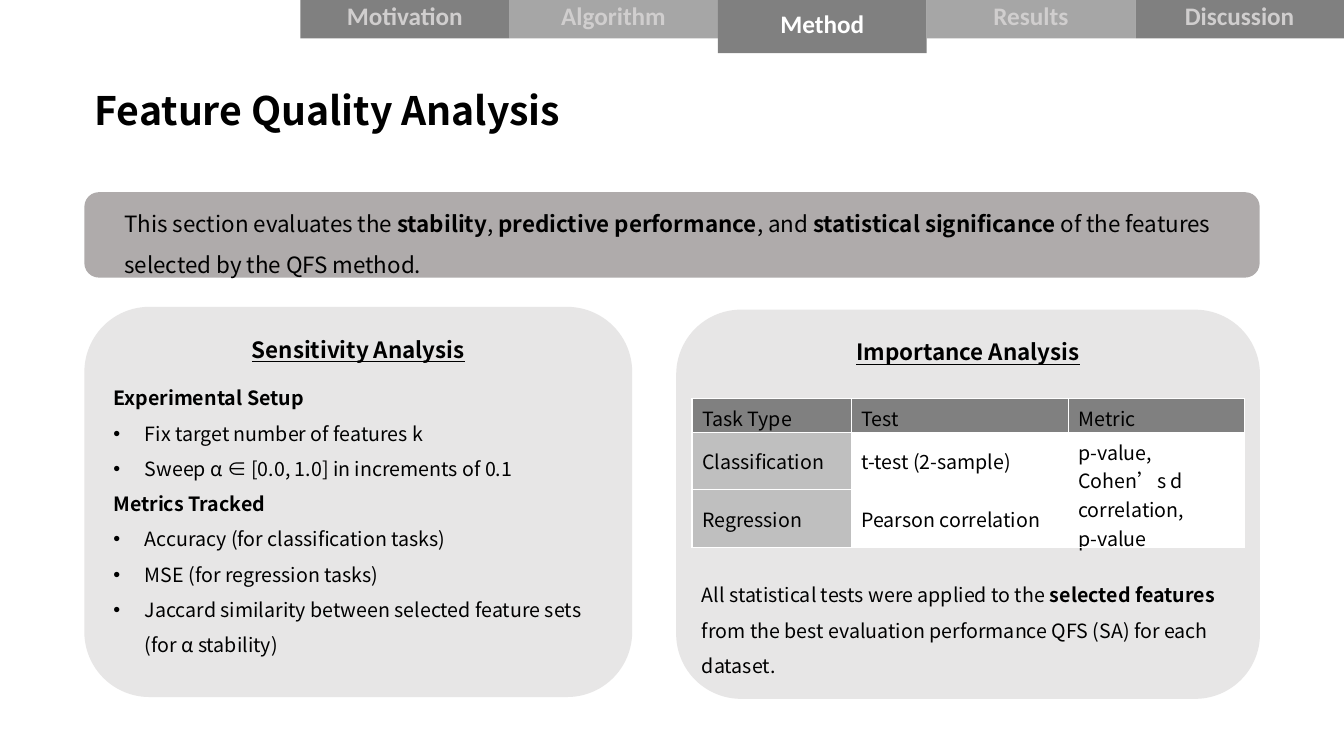
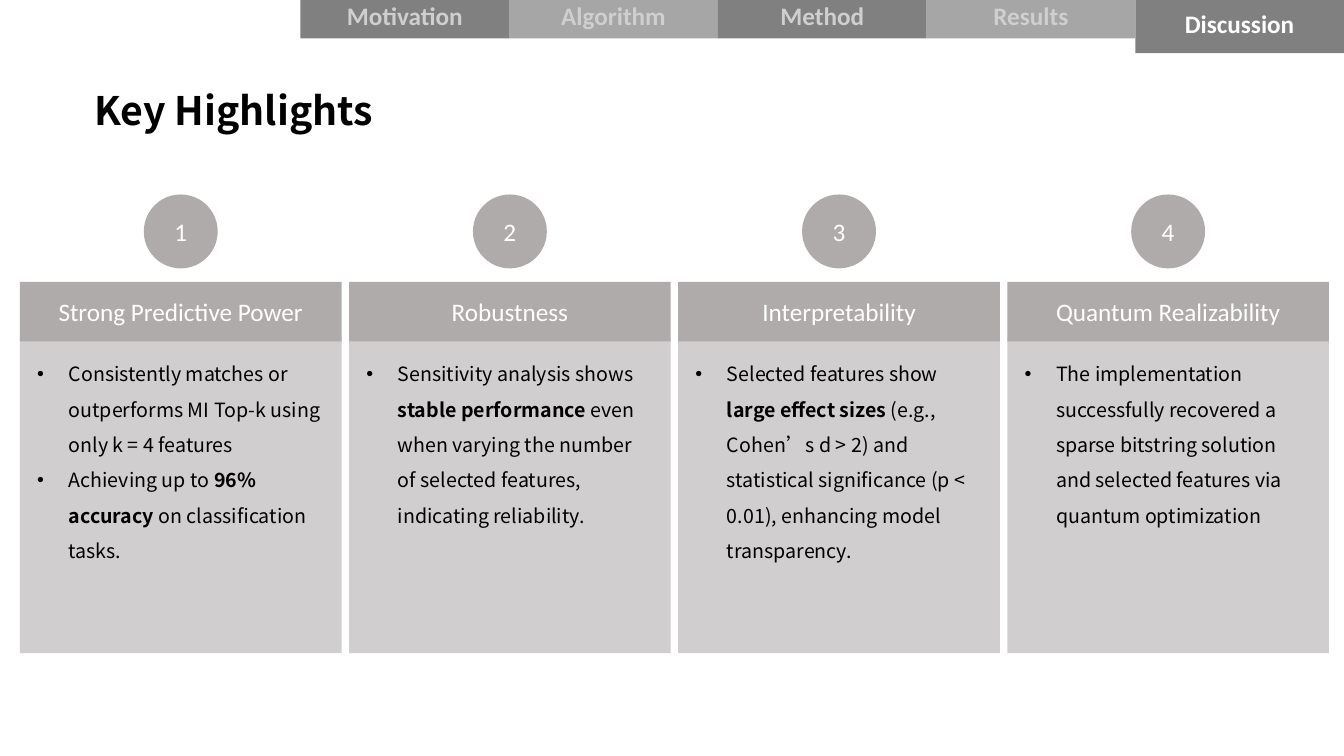
from lxml import etree
from pptx import Presentation
from pptx import util as u
from pptx.dml import color
from pptx.enum import shapes, text
from pptx.oxml import ns

SANS, TAB_FONT = "Noto Sans CJK TC", "Calibri"
BLACK, WHITE = "000000", "FFFFFF"
DARK, MEDIUM, LIGHT = "808080", "A6A6A6", "BFBFBF"
WARM, PALE, PANEL = "AFABAB", "D0CECE", "E7E6E6"
LEFT, CENTER = text.PP_ALIGN.LEFT, text.PP_ALIGN.CENTER
TABS = ("Motivation", "Algorithm", "Method", "Results", "Discussion")
TAB_LEFT, TAB_TOP, TAB_WIDTH = 214.6, -5, 149.08
HIGHLIGHTS = (
    ("Strong Predictive Power",
     ("• Consistently matches or outperforms MI Top-k using only k = 4 features",
      "• Achieving up to **96% accuracy **on classification tasks.")),
    ("Robustness",
     ("• Sensitivity analysis shows **stable performance** even when varying "
      "the number of selected features, indicating reliability.",)),
    ("Interpretability",
     ("• Selected features show **large effect sizes** (e.g., Cohen’s d > 2) and "
      "statistical significance (p < 0.01), enhancing model transparency.",)),
    ("Quantum Realizability",
     ("• The implementation successfully recovered a sparse bitstring solution "
      "and selected features via quantum optimization",)),
)
SETUP = (
    "**Experimental Setup**",
    "• Fix target number of features k",
    "• Sweep α ∈ [0.0, 1.0] in increments of 0.1",
    "**Metrics Tracked**",
    "• Accuracy (for classification tasks)",
    "• MSE (for regression tasks)",
    "• Jaccard similarity between selected feature sets (for α stability)",
)
TESTS = (
    (("Task Type",), ("Test",), ("Metric",)),
    (("Classification",), ("t-test (2-sample)",), ("p-value, Cohen’s d",)),
    (("Regression",), ("Pearson correlation",), ("correlation,", "p-value")),
)


def rgb(value):
    """Turn a hex string into a colour."""
    return color.RGBColor.from_string(value)


def set_fill(item, value):
    """Give a shape or cell a solid fill."""
    item.fill.solid()
    item.fill.fore_color.rgb = rgb(value)


def add_bullet(paragraph):
    """Give a paragraph a hanging round bullet."""
    properties = paragraph._p.get_or_add_pPr()
    properties.set("marL", str(u.Pt(22.5)))
    properties.set("indent", str(-u.Pt(22.5)))
    etree.SubElement(properties, ns.qn("a:buFont"), typeface="Arial")
    etree.SubElement(properties, ns.qn("a:buChar"), char="•")


def write(frame, lines, size=14, name=SANS, ink=BLACK, align=LEFT, spacing=1.5,
          bold=None, underline=None):
    """Write lines, where • starts a bullet and ** switches bold."""
    frame.word_wrap = True
    for index, line in enumerate(lines):
        paragraph = frame.add_paragraph() if index else frame.paragraphs[0]
        if line.startswith("• "):
            add_bullet(paragraph)
            line = line[2:]
        paragraph.alignment, paragraph.line_spacing = align, spacing
        font = paragraph.font
        font.size, font.name, font.color.rgb = u.Pt(size), name, rgb(ink)
        font.bold, font.underline = bold, underline
        etree.SubElement(font._element, ns.qn("a:ea"), typeface=name)
        for position, part in enumerate(line.split("**")):
            if part:
                run = paragraph.add_run()
                run.text = part
                if position % 2:
                    run.font.bold = True


def add_box(slide, kind, box, fill):
    """Add a flat preset shape without outline."""
    shape = slide.shapes.add_shape(kind, *map(u.Pt, box))
    shape.shadow.inherit = False
    shape.line.fill.background()
    set_fill(shape, fill)
    shape.text_frame.vertical_anchor = text.MSO_ANCHOR.MIDDLE
    return shape


def add_text(slide, box, lines, **style):
    """Add a wrapping text box."""
    write(slide.shapes.add_textbox(*map(u.Pt, box)).text_frame, lines, **style)


def add_tabs(slide, active):
    """Draw the section tabs with the active one taller."""
    for index, name in enumerate(TABS):
        current = name == active
        box = (TAB_LEFT + index * TAB_WIDTH, TAB_TOP, TAB_WIDTH, 43 if current else 32.4)
        fill = MEDIUM if index % 2 else DARK
        tab = add_box(slide, shapes.MSO_SHAPE.RECTANGLE, box, fill)
        write(tab.text_frame, [name], size=18, name=TAB_FONT,
              ink=WHITE if current else PALE, align=CENTER, spacing=1, bold=True)


def new_slide(presentation, title, active):
    """Start a slide with its title and section tabs."""
    slide = presentation.slides.add_slide(presentation.slide_layouts[5])
    shape = slide.shapes.title
    shape.left, shape.top, shape.width, shape.height = map(u.Pt, (60.5, 62, 828, 52.5))
    frame = shape.text_frame
    frame.auto_size = text.MSO_AUTO_SIZE.NONE
    frame.vertical_anchor = text.MSO_ANCHOR.TOP
    write(frame, [title], size=28, spacing=0.9, bold=True)
    add_tabs(slide, active)
    return slide


def add_panel(slide, box, heading):
    """Draw a rounded panel with an underlined heading."""
    left, top, width, _ = box
    panel = add_box(slide, shapes.MSO_SHAPE.ROUNDED_RECTANGLE, box, PANEL)
    add_text(slide, (left, top + 7.5, width, 33), [heading], size=16, align=CENTER,
             bold=True, underline=True)
    return panel


def add_intro(slide, box):
    """Draw the banner that states the aim."""
    left, top, width, height = box
    banner = add_box(slide, shapes.MSO_SHAPE.ROUNDED_RECTANGLE, box, WARM)
    banner.adjustments[0] = 0.17
    add_text(slide, (left + 21.5, top, width - 34.5, height), [
        "This section evaluates the **stability**, **predictive performance**, and "
        "**statistical significance** of the features selected by the QFS method."], size=16)


def add_sensitivity(slide, box):
    """Fill the sensitivity panel with setup and metrics."""
    frame = add_panel(slide, box, "Sensitivity Analysis").text_frame
    frame.margin_top = u.Pt(23)
    write(frame, SETUP)


def add_tests_table(slide, box):
    """Add the table of tests and metrics."""
    table = slide.shapes.add_table(len(TESTS), len(TESTS[0]), *map(u.Pt, box)).table
    for column, width in zip(table.columns, (113.8, 155, 125.6)):
        column.width = u.Pt(width)
    for row_index, row in enumerate(TESTS):
        table.rows[row_index].height = u.Pt(41.1 if row_index else 23.6)
        for column_index, lines in enumerate(row):
            cell = table.cell(row_index, column_index)
            cell.vertical_anchor = text.MSO_ANCHOR.MIDDLE
            set_fill(cell, DARK if not row_index else WHITE if column_index else LIGHT)
            write(cell.text_frame, lines, spacing=1, bold=False)


def add_importance(slide, box):
    """Fill the importance panel with its table and remark."""
    left, top, width, _ = box
    add_panel(slide, box, "Importance Analysis")
    add_tests_table(slide, (left + 11.3, top + 63.5, width - 22.6, 105.8))
    add_text(slide, (left + 11.3, top + 183.5, width - 22.6, 80.5), [
        "All statistical tests were applied to the **selected features** from the best "
        "evaluation performance QFS (SA) for each dataset."])


def add_highlight(slide, box, number, heading, lines):
    """Draw a numbered card with a heading and bullets."""
    left, top, width, height = box
    circle, band, body_top = 52.8, 42.5, top + 102.5
    add_box(slide, shapes.MSO_SHAPE.RECTANGLE,
            (left, body_top, width, top + height - body_top), PALE)
    for kind, part, label in (
            (shapes.MSO_SHAPE.OVAL,
             (left + (width - circle) / 2, top, circle, circle), str(number)),
            (shapes.MSO_SHAPE.RECTANGLE,
             (left, body_top + 2.5 - band, width, band), heading)):
        shape = add_box(slide, kind, part, WARM)
        write(shape.text_frame, [label], size=18, name=TAB_FONT, ink=WHITE,
              align=CENTER, spacing=1)
    add_text(slide, (left + 5.3, body_top + 5.5, width - 10.5, 157), lines)


def build_quality(presentation):
    """Build the feature quality slide."""
    slide = new_slide(presentation, "Feature Quality Analysis", "Method")
    add_intro(slide, (60.3, 137.3, 839.5, 61))
    add_sensitivity(slide, (60.3, 219.2, 391.3, 278.7))
    add_importance(slide, (483, 221.2, 417, 278))


def build_highlights(presentation):
    """Build the key highlights slide."""
    slide = new_slide(presentation, "Key Highlights", "Discussion")
    for index, (heading, lines) in enumerate(HIGHLIGHTS):
        box = (14.2 + index * 235.1, 138.9, 229.8, 327.6)
        add_highlight(slide, box, index + 1, heading, lines)


def main():
    """Build and save the presentation."""
    presentation = Presentation()
    presentation.slide_width, presentation.slide_height = u.Pt(960), u.Pt(540)
    build_quality(presentation)
    build_highlights(presentation)
    presentation.save("out.pptx")


if __name__ == "__main__":
    main()
